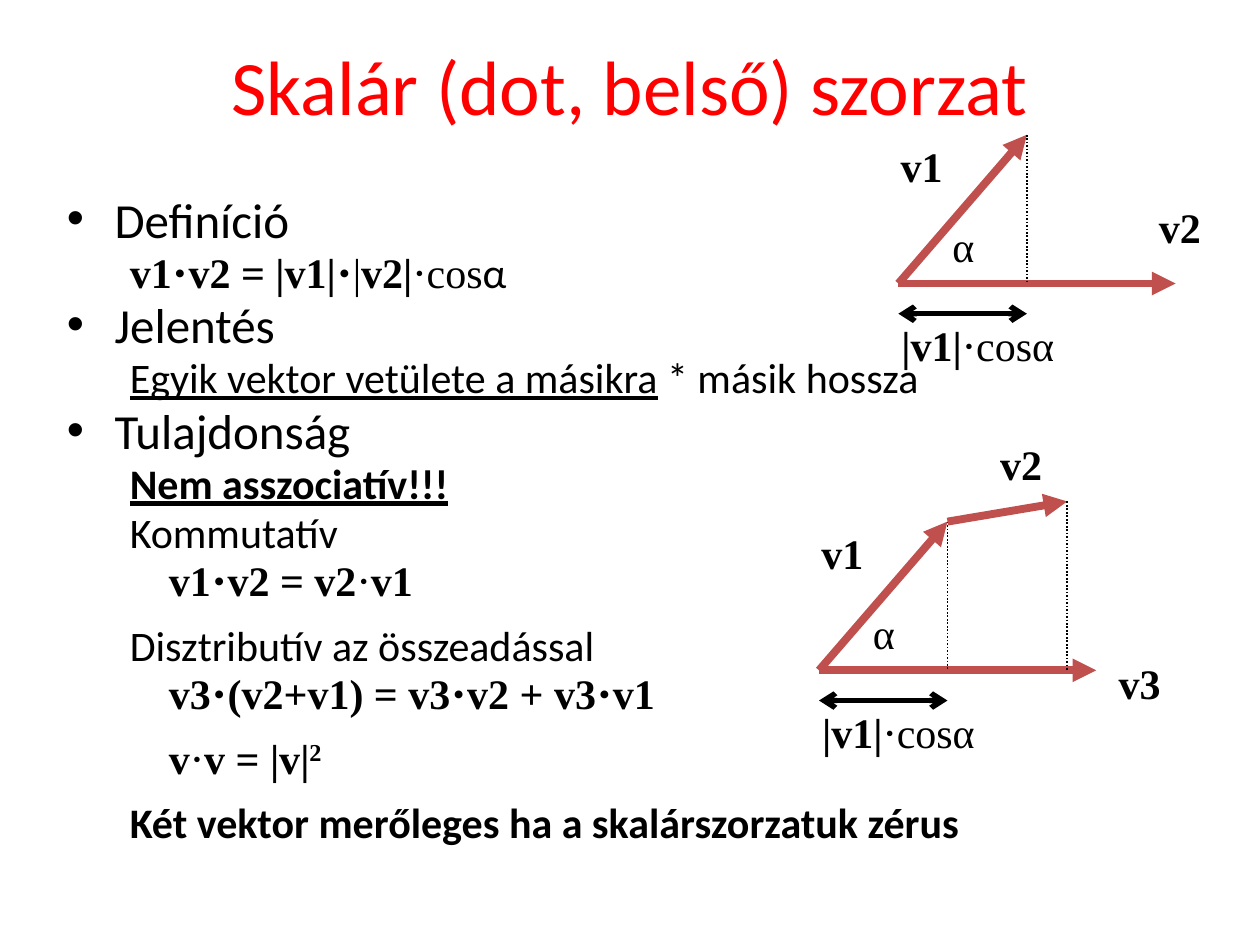
from pptx import Presentation
from pptx.dml.color import RGBColor
from pptx.enum.dml import MSO_LINE
from pptx.enum.shapes import MSO_CONNECTOR
from pptx.enum.text import MSO_ANCHOR, MSO_AUTO_SIZE as AUTO_SIZE, PP_ALIGN
from pptx.oxml.ns import qn
from pptx.util import Pt
from lxml.etree import SubElement

PX = 9144
SANS, SERIF = "Calibri", "Times New Roman"
BLACK, RED, BRICK = "000000", "FF0000", "C0504D"


def color(value):
    return RGBColor.from_string(value)


class Deck:
    def __init__(self):
        self.prs = Presentation()
        self.prs.slide_width, self.prs.slide_height = 1000 * PX, 750 * PX
        self.slide = self.prs.slides.add_slide(self.prs.slide_layouts[1])

    def place(self, shape, left, top, width, height):
        shape.left, shape.top = left * PX, top * PX
        shape.width, shape.height = width * PX, height * PX

    def mark(self, font, marks):
        if "b" in marks:
            font.bold = True
        if "u" in marks:
            font.underline = True
        if "c" in marks:
            font.name = SANS
        if "^" in marks:
            font._element.set("baseline", "30000")

    def fill_text(self, paragraph, runs, size, face, ink=BLACK):
        font = paragraph.font
        font.size, font.name = Pt(size), face
        font.color.rgb = color(ink)
        shared = set.intersection(*(set(marks) for _, marks in runs))
        self.mark(font, shared)
        for text, marks in runs:
            run = paragraph.add_run()
            run.text = text
            self.mark(run.font, set(marks) - shared)

    def title(self, text):
        heading = self.slide.shapes.title
        self.place(heading, 75, 5, 850, 125)
        heading.text_frame.vertical_anchor = MSO_ANCHOR.MIDDLE
        paragraph = heading.text_frame.paragraphs[0]
        paragraph.alignment = PP_ALIGN.CENTER
        self.fill_text(paragraph, [(text, "")], 44, SANS, RED)

    def body(self, items):
        outline = self.slide.placeholders[1]
        self.place(outline, 43, 154, 933, 583)
        frame = outline.text_frame
        frame.auto_size = AUTO_SIZE.NONE
        for index, (kind, gap, runs) in enumerate(items):
            paragraph = frame.paragraphs[0] if index == 0 else frame.add_paragraph()
            topic = kind == "topic"
            size = 28 if topic else 24
            margin, indent = {"topic": (38, -38), "note": (50, 0),
                              "formula": (81, 0), "definition": (50, 0)}[kind]
            paragraph.level = 0 if topic else 1
            paragraph.line_spacing = 0.8
            paragraph.space_before = Pt(size * 0.2 + gap)
            props = paragraph._p.get_or_add_pPr()
            props.set("marL", str(margin * PX))
            props.set("indent", str(indent * PX))
            if topic:
                SubElement(props, qn("a:buChar")).set("char", "•")
            else:
                SubElement(props, qn("a:buNone"))
            face = SERIF if kind in ("formula", "definition") else SANS
            self.fill_text(paragraph, runs, size, face)

    def label(self, left, top, width, runs):
        box = self.slide.shapes.add_textbox(0, 0, 0, 0)
        self.place(box, left, top, width, 50)
        frame = box.text_frame
        frame.word_wrap = False
        frame.auto_size = AUTO_SIZE.SHAPE_TO_FIT_TEXT
        paragraph = frame.paragraphs[0]
        paragraph.alignment = PP_ALIGN.CENTER
        self.fill_text(paragraph, runs, 24, SERIF)

    def name(self, left, top, text):
        self.label(left, top, 53, [(text, "b")])

    def line(self, start, end, ink, weight, dash=None, head=None, tail=None):
        points = [value * PX for value in (*start, *end)]
        link = self.slide.shapes.add_connector(MSO_CONNECTOR.STRAIGHT, *points)
        link.line.color.rgb = color(ink)
        link.line.width = Pt(weight)
        if dash:
            link.line.dash_style = dash
        stroke = link.line._get_or_add_ln()
        for tag, arrow in (("a:headEnd", head), ("a:tailEnd", tail)):
            if arrow:
                SubElement(stroke, qn(tag)).set("type", arrow)
        SubElement(link._element.spPr, qn("a:effectLst"))

    def vector(self, start, end):
        self.line(start, end, BRICK, 4.5, tail="triangle")

    def drop(self, start, base):
        self.line(start, (start[0], base), BLACK, 1, dash=MSO_LINE.ROUND_DOT)

    def projection(self, x, y):
        tip = (x + 102, y - 118)
        self.vector((x, y), tip)
        self.vector((x, y), (x + 220, y))
        self.label(x + 31, y - 55, 41, [("α", "")])
        self.drop(tip, y)
        self.name(x - 8, y - 118, "v1")
        self.line((x, y + 24), (x + 102, y + 24), BLACK, 3, head="arrow", tail="arrow")
        self.label(x - 8, y + 24, 142, [("|v1|", "b"), ("⋅cosα", "")])
        return tip


def main():
    deck = Deck()
    deck.title("Skalár (dot, belső) szorzat")
    deck.body([
        ("topic", 0, [("Definíció", "")]),
        ("definition", 0, [("v1⋅v2 = |v1|⋅", "b"), ("|", ""), ("v2|", "b"),
                           ("⋅cos", ""), ("α", "c")]),
        ("topic", 0, [("Jelentés", "")]),
        ("note", 0, [("Egyik vektor vetülete a másikra", "u"), (" * másik hossza", "")]),
        ("topic", 0, [("Tulajdonság", "")]),
        ("note", 0, [("Nem asszociatív!!!", "bu")]),
        ("note", 0, [("Kommutatív", "")]),
        ("formula", 0, [("v1⋅v2 = v2", "b"), ("⋅", ""), ("v1", "b")]),
        ("note", 9, [("Disztributív az összeadással", "")]),
        ("formula", 0, [("v3⋅(v2+v1) = v3⋅v2 + v3⋅v1", "b")]),
        ("formula", 9, [("v", "b"), ("⋅", ""), ("v = |v|", "b"), ("2", "b^")]),
        ("note", 9, [("Két vektor merőleges ha a skalárszorzatuk zérus", "b")]),
    ])

    deck.projection(713, 225)
    deck.name(910, 155, "v2")

    v1_tip = deck.projection(650, 532)
    v2_tip = (847, 398)
    deck.vector(v1_tip, v2_tip)
    deck.drop(v2_tip, 532)
    deck.name(784, 343, "v2")
    deck.name(878, 517, "v3")
    deck.prs.save("out.pptx")


if __name__ == "__main__":
    main()
